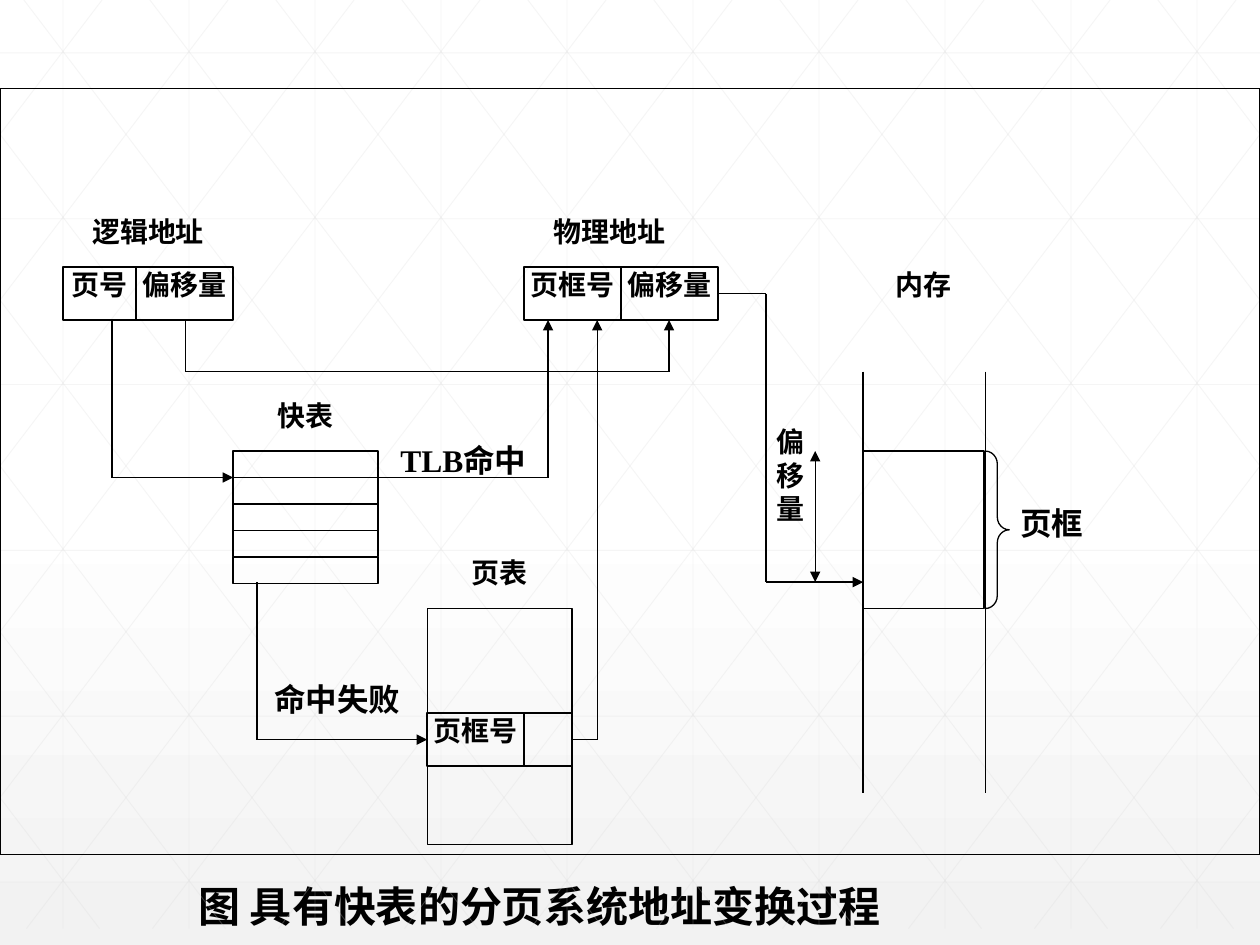
from itertools import pairwise
from typing import NamedTuple

from lxml.etree import SubElement
from pptx import Presentation
from pptx.dml.color import RGBColor
from pptx.enum.shapes import MSO_CONNECTOR, MSO_SHAPE
from pptx.enum.text import MSO_ANCHOR, MSO_AUTO_SIZE, PP_ALIGN
from pptx.oxml.ns import qn
from pptx.util import Inches, Pt

COLORS = {"ink": "000000", "grid": "D9D9D9", "top": "FFFFFF", "bottom": "F2F2F2"}
FONT = "Times New Roman"
WIDTH, HEIGHT = 10, 7.5
GRID_BOTTOM = 7.37
ROW = 0.42  # height of an address field
ENTRY = 0.21  # height of a TLB entry


class Box(NamedTuple):
    left: float
    top: float
    width: float
    height: float
    text: str = ""


class Wire(NamedTuple):
    points: list[tuple[float, float]]
    head: bool = False
    tail: bool = False


class Note(NamedTuple):
    box: Box
    wrap: bool = False


def rgb(name: str) -> RGBColor:
    return RGBColor.from_string(COLORS[name])


def set_text(sp, text: str, size: float, align=PP_ALIGN.CENTER, inset=(0, 0), wrap=True) -> None:
    tf = sp.text_frame
    tf.auto_size = MSO_AUTO_SIZE.NONE
    tf.word_wrap = wrap
    tf.vertical_anchor = MSO_ANCHOR.TOP
    tf.margin_left = tf.margin_right = Inches(inset[0])
    tf.margin_top = tf.margin_bottom = Inches(inset[1])
    for i, line in enumerate(text.split("\n")):
        p = tf.add_paragraph() if i else tf.paragraphs[0]
        p.alignment = align
        r = p.add_run()
        r.text = line
        r.font.name, r.font.size, r.font.bold = FONT, Pt(size), True
        r.font.color.rgb = rgb("ink")


def add_box(s, box: Box, kind=MSO_SHAPE.RECTANGLE):
    sp = s.shapes.add_shape(kind, *map(Inches, box[:4]))
    sp.shadow.inherit = False
    sp.fill.background()
    sp.line.color.rgb = rgb("ink")
    sp.line.width = Pt(0.75)
    if box.text:
        set_text(sp, box.text, 16)
    return sp


def add_label(s, box: Box) -> None:
    set_text(s.shapes.add_textbox(*map(Inches, box[:4])), box.text, 16)


def add_note(s, note: Note) -> None:
    sp = s.shapes.add_textbox(*map(Inches, note.box[:4]))
    set_text(sp, note.box.text, 18, PP_ALIGN.LEFT, (0.1, 0.05), note.wrap)


def add_line(s, start, end, color="ink", width=0.75):
    c = s.shapes.add_connector(MSO_CONNECTOR.STRAIGHT, *map(Inches, (*start, *end)))
    c.line.color.rgb = rgb(color)
    c.line.width = Pt(width)
    SubElement(c._element.spPr, qn("a:effectLst"))
    return c


def add_wire(s, wire: Wire) -> None:
    """Draw a bent line, with arrowheads at its outer ends."""
    lines = [add_line(s, a, b) for a, b in pairwise(wire.points)]
    if wire.head:
        SubElement(lines[0].line._get_or_add_ln(), qn("a:headEnd"), type="triangle")
    if wire.tail:
        SubElement(lines[-1].line._get_or_add_ln(), qn("a:tailEnd"), type="triangle")


def add_grid(s) -> None:
    """Draw the pale lattice of upright, level and crossing diagonal lines."""
    slope = GRID_BOTTOM / 5.6
    lines = [((k + 0.5, 0), (k + 0.5, GRID_BOTTOM)) for k in range(10)]
    lines += [((0, 0.42 + 1.316 * k), (WIDTH, 0.42 + 1.316 * k)) for k in range(6)]
    for k in range(-5, 10):
        x = k + 0.19
        x1, x2 = max(x, 0), min(x + 5.6, WIDTH)
        y1, y2 = (x1 - x) * slope, (x2 - x) * slope
        lines += [((x1, y1), (x2, y2)), ((WIDTH - x1, y1), (WIDTH - x2, y2))]
    for start, end in lines:
        c = add_line(s, start, end, "grid", 0.5)
        SubElement(c._element.spPr.find(".//" + qn("a:srgbClr")), qn("a:alpha"), val="25000")


def set_background(s) -> None:
    fill = s.background.fill
    fill.gradient()
    fill.gradient_angle = 270
    for stop, position, color in zip(fill.gradient_stops, (0.53, 1), ("top", "bottom")):
        stop.position = position
        stop.color.rgb = rgb(color)


BOXES = [
    Box(0, 0.7, WIDTH, 6.08),
    Box(0.5, 2.12, 0.58, ROW, "页号"),
    Box(1.08, 2.12, 0.77, ROW, "偏移量"),
    Box(4.16, 2.12, 0.77, ROW, "页框号"),
    Box(4.93, 2.12, 0.77, ROW, "偏移量"),
    Box(6.85, 3.58, 0.96, 1.25),
    *(Box(1.85, 3.58 + ENTRY * i, 1.15, ENTRY) for i in range(5)),
    Box(3.39, 4.83, 1.15, 0.83),
    Box(3.39, 5.66, 0.77, ROW, "页框号"),
    Box(4.16, 5.66, 0.38, ROW),
    Box(3.39, 6.08, 1.15, 0.62),
]
LABELS = [
    Box(0.5, 1.7, 1.35, ROW, "逻辑地址"),
    Box(4.16, 1.7, 1.35, ROW, "物理地址"),
    Box(6.85, 2.12, 0.96, ROW, "内存"),
    Box(1.85, 3.16, 1.15, ROW, "快表"),
    Box(3.39, 4.41, 1.15, ROW, "页表"),
    Box(6.08, 3.37, 0.38, 1.25, "偏\n移\n量"),
]
NOTES = [
    Note(Box(8, 3.95, 0.7, 0.4, "页框")),
    Note(Box(3.08, 3.45, 1.2, 0.4, "TLB命中"), wrap=True),
    Note(Box(2.08, 5.35, 1.2, 0.4, "命中失败")),
]
WIRES = [
    Wire([(1.47, 2.54), (1.47, 2.95), (5.31, 2.95), (5.31, 2.54)], tail=True),
    Wire([(4.55, 5.87), (4.74, 5.87), (4.74, 2.54)], tail=True),
    Wire([(5.7, 2.33), (6.08, 2.33), (6.08, 4.62), (6.85, 4.62)], tail=True),
    Wire([(6.47, 3.58), (6.47, 4.62)], head=True, tail=True),
    Wire([(6.85, 2.95), (6.85, 6.29)]),
    Wire([(7.82, 2.95), (7.82, 6.29)]),
    Wire([(0.89, 2.54), (0.89, 3.79), (1.85, 3.79)], tail=True),
    Wire([(3, 3.79), (4.35, 3.79), (4.35, 2.54)], tail=True),
    Wire([(2.04, 4.62), (2.04, 5.87), (3.39, 5.87)], tail=True),
]


def main() -> None:
    prs = Presentation()
    prs.slide_width, prs.slide_height = Inches(WIDTH), Inches(HEIGHT)
    s = prs.slides.add_slide(prs.slide_layouts[5])
    set_background(s)
    add_grid(s)

    title = s.shapes.title
    title.left, title.top, title.width, title.height = map(Inches, (0.91, 6.99, 6.74, 0.62))
    set_text(title, "图 具有快表的分页系统地址变换过程", 24)

    for box in BOXES:
        add_box(s, box)
    brace = add_box(s, Box(7.82, 3.58, 0.19, 1.25), MSO_SHAPE.RIGHT_BRACE)
    brace.adjustments[0], brace.adjustments[1] = 0.541, 0.5
    for wire in WIRES:
        add_wire(s, wire)
    for label in LABELS:
        add_label(s, label)
    for note in NOTES:
        add_note(s, note)
    prs.save("out.pptx")


if __name__ == "__main__":
    main()
